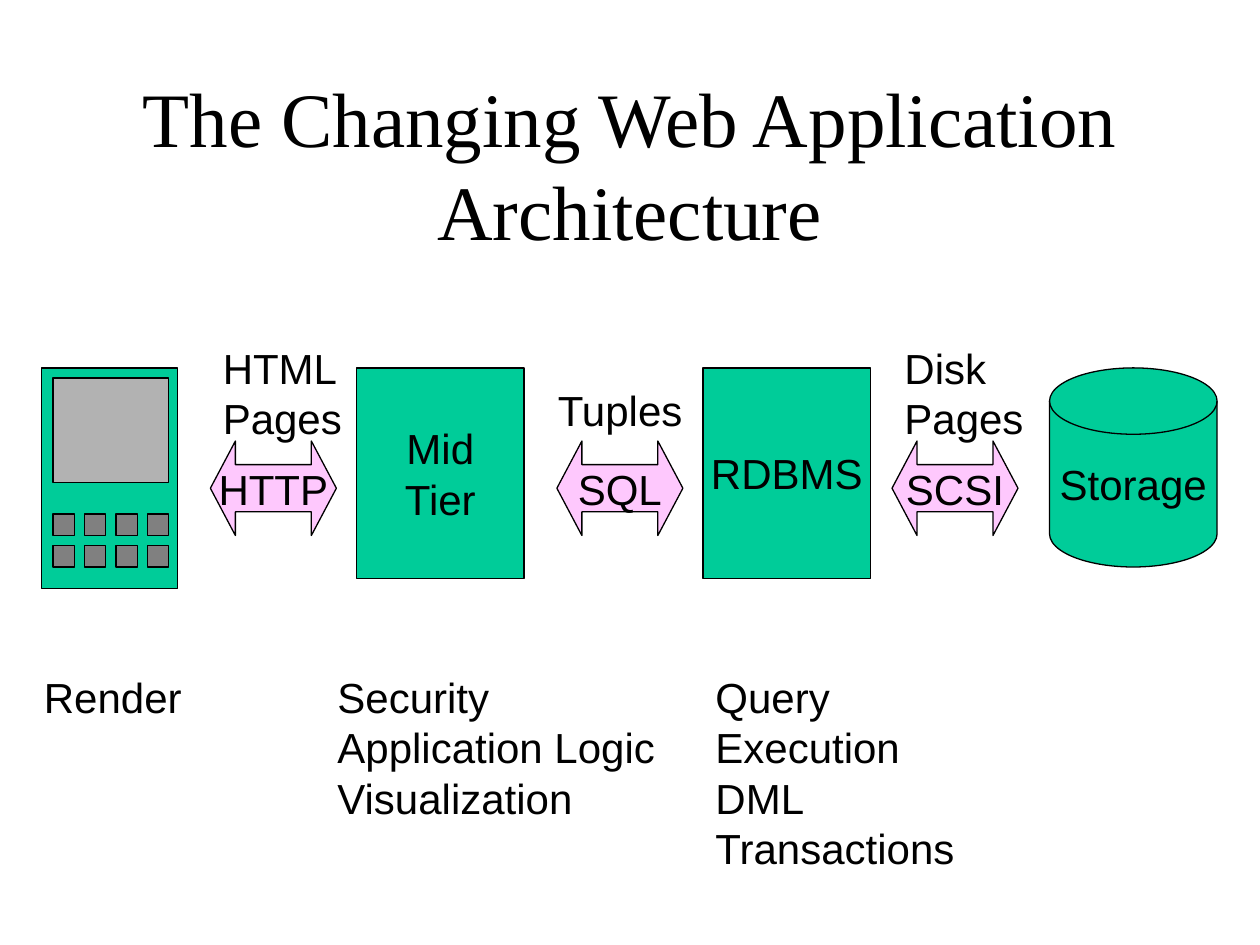
from pptx import Presentation
from pptx.dml.color import RGBColor
from pptx.enum.shapes import MSO_SHAPE as Shape
from pptx.enum.text import MSO_ANCHOR as Anchor, MSO_AUTO_SIZE as AutoSize, PP_ALIGN as Align
from pptx.util import Inches, Pt

BLACK = RGBColor(0x00, 0x00, 0x00)
GREEN = RGBColor(0x00, 0xCC, 0x99)
PINK = RGBColor(0xFE, 0xC8, 0xFD)
LIGHT_GRAY = RGBColor(0xB2, 0xB2, 0xB2)
DARK_GRAY = RGBColor(0x80, 0x80, 0x80)

BODY_FONT = {"name": "Arial", "size": Pt(24)}
TITLE_FONT = {"name": "Times New Roman", "size": Pt(44)}
TITLE_FRAME = {"word_wrap": True, "vertical_anchor": Anchor.MIDDLE}
SHAPE_FRAME = {"word_wrap": False, "vertical_anchor": Anchor.MIDDLE}
LABEL_FRAME = {"word_wrap": True, "auto_size": AutoSize.SHAPE_TO_FIT_TEXT}


class SlideBuilder:
    def __init__(self, slide):
        self.slide = slide

    def set_text(self, frame, text, font, frame_format, alignment):
        """Fill a text frame: \\n starts a paragraph, \\v breaks a line."""
        frame.text = text
        for name, value in frame_format.items():
            setattr(frame, name, value)
        for paragraph in frame.paragraphs:
            paragraph.alignment = alignment
            for run in paragraph.runs:
                run.font.color.rgb = BLACK
                for name, value in font.items():
                    setattr(run.font, name, value)

    def title(self, text, *place):
        box = self.slide.shapes.add_textbox(*map(Inches, place))
        self.set_text(box.text_frame, text, TITLE_FONT, TITLE_FRAME, Align.CENTER)

    def label(self, text, *place):
        box = self.slide.shapes.add_textbox(*map(Inches, place))
        self.set_text(box.text_frame, text, BODY_FONT, LABEL_FRAME, Align.LEFT)

    def shape(self, kind, fill, *place, text="", group=None):
        shapes = group.shapes if group else self.slide.shapes
        shape = shapes.add_shape(kind, *map(Inches, place))
        shape.shadow.inherit = False
        shape.fill.solid()
        shape.fill.fore_color.rgb = fill
        shape.line.color.rgb = BLACK
        shape.line.width = Pt(0.75)
        if text:
            self.set_text(shape.text_frame, text, BODY_FONT, SHAPE_FRAME, Align.CENTER)
        return shape

    def arrow(self, text, left):
        arrow = self.shape(Shape.LEFT_RIGHT_ARROW, PINK, left, 3.5, 1, 0.75, text=text)
        arrow.adjustments[0] = 0.5
        arrow.adjustments[1] = 0.265

    def device(self, left, top):
        """Handheld client with a screen and a grid of keys."""
        group = self.slide.shapes.add_group_shape()
        self.shape(Shape.RECTANGLE, GREEN, left, top, 1.08, 1.75, group=group)
        self.shape(Shape.RECTANGLE, LIGHT_GRAY, left + 0.09, top + 0.08, 0.92, 0.83, group=group)
        for row in range(2):
            for column in range(4):
                self.shape(Shape.RECTANGLE, DARK_GRAY,
                           left + 0.09 + 0.25 * column, top + 1.16 + 0.25 * row,
                           0.17, 0.17, group=group)


def main():
    presentation = Presentation()
    presentation.slide_width = Inches(10)
    presentation.slide_height = Inches(7.5)
    builder = SlideBuilder(presentation.slides.add_slide(presentation.slide_layouts[6]))

    # Title
    builder.title("The Changing Web Application Architecture", 0.75, 0.67, 8.5, 1.25)

    # Tiers
    builder.device(0.33, 2.92)
    for kind, text, left, height in (
        (Shape.RECTANGLE, "Mid\nTier", 2.83, 1.67),
        (Shape.RECTANGLE, "RDBMS", 5.58, 1.67),
        (Shape.FLOWCHART_MAGNETIC_DISK, "Storage", 8.33, 1.58),
    ):
        builder.shape(kind, GREEN, left, 2.92, 1.33, height, text=text)

    # Protocols between the tiers
    for text, left in (("HTTP", 1.67), ("SQL", 4.42), ("SCSI", 7.08)):
        builder.arrow(text, left)

    # Data carried by each protocol
    for text, left, top, height in (
        ("HTML\vPages", 1.67, 2.67, 0.9),
        ("Tuples", 4.33, 3, 0.5),
        ("Disk\vPages", 7.08, 2.67, 0.9),
    ):
        builder.label(text, left, top, 1.33, height)

    # Duties of each tier
    for text, left, width, height in (
        ("Render", 0.25, 1.33, 0.5),
        ("Security\vApplication Logic\vVisualization", 2.58, 2.83, 1.3),
        ("Query Execution\vDML\vTransactions", 5.58, 2.58, 1.7),
    ):
        builder.label(text, left, 5.28, width, height)

    presentation.save("out.pptx")


if __name__ == "__main__":
    main()
